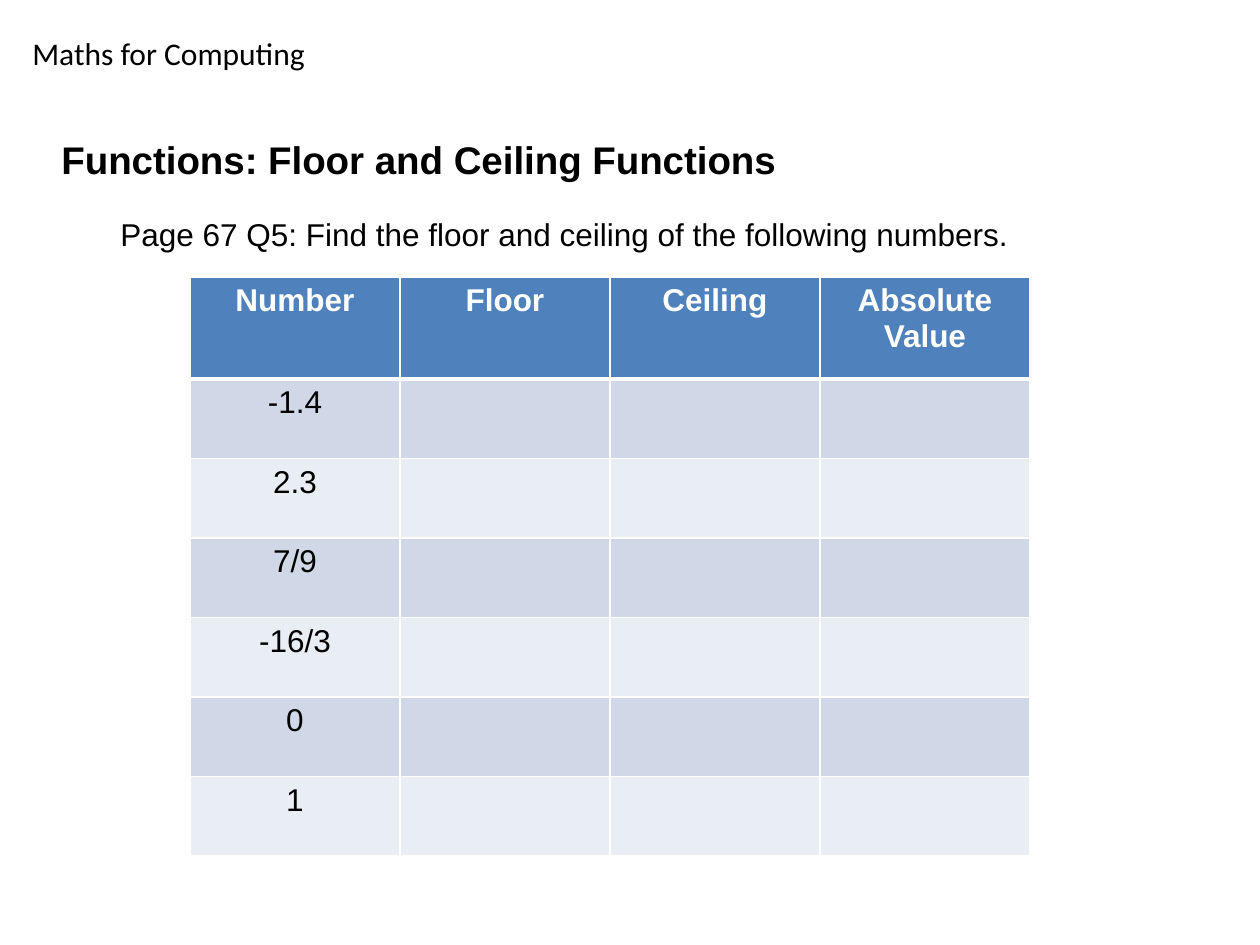
from lxml.etree import SubElement
from pptx import Presentation
from pptx.dml.color import RGBColor
from pptx.enum.text import PP_ALIGN
from pptx.oxml.ns import qn
from pptx.util import Pt

HUE = {"ink": "000000", "white": "FFFFFF", "head": "4F81BD",
       "odd": "D0D8E8", "even": "E9EDF4"}
HEADS = ["Number", "Floor", "Ceiling", "Absolute Value"]
NUMS = ["-1.4", "2.3", "7/9", "-16/3", "0", "1"]


def px(size):
    return round(size * 914400 / 126)


def rgb(name):
    return RGBColor.from_string(HUE[name])


def style(para, size, hue="ink", bold=False, face="Arial"):
    font = para.font
    font.name, font.size, font.bold = face, Pt(size), bold
    font.color.rgb = rgb(hue)


def label(slide, box, text, size, bold=False, face="Arial"):
    frame = slide.shapes.add_textbox(*map(px, box)).text_frame
    frame.word_wrap = True
    para = frame.paragraphs[0]
    para.text = text
    style(para, size, bold=bold, face=face)
    return para


def header(slide, box):
    label(slide, box, "Maths for Computing", 18, face="Calibri")


def title(slide, box):
    label(slide, box, "Functions: Floor and Ceiling Functions", 22, bold=True)


def task(slide, box):
    text = "Page 67 Q5: Find the floor and ceiling of the following numbers."
    para = label(slide, box, text, 18)
    para.space_before = Pt(4)
    para._p.get_or_add_pPr().set("marL", str(px(59)))


def border(cell, side, width):
    props = cell._tc.get_or_add_tcPr()
    line = SubElement(props, qn("a:ln" + side), w=str(Pt(width)))
    fill = SubElement(line, qn("a:solidFill"))
    SubElement(fill, qn("a:srgbClr"), val=HUE["white"])


def grid(slide, box, top):
    rows = [HEADS] + [[num, "", "", ""] for num in NUMS]
    table = slide.shapes.add_table(len(rows), len(HEADS), *map(px, box)).table
    for col in table.columns:
        col.width = px(box[2] / len(HEADS))
    for i, row in enumerate(rows):
        table.rows[i].height = px((box[3] - top) / len(NUMS) if i else top)
        shade = ("odd" if i % 2 else "even") if i else "head"
        for j, text in enumerate(row):
            cell = table.cell(i, j)
            cell.text = text
            para = cell.text_frame.paragraphs[0]
            para.alignment = PP_ALIGN.CENTER
            style(para, 18, "ink" if i else "white", bold=not i)
            for side in "LRTB":
                thick = (i, side) in ((0, "B"), (1, "T"))
                border(cell, side, 3 if thick else 1)
            cell.fill.solid()
            cell.fill.fore_color.rgb = rgb(shade)


def main():
    deck = Presentation()
    deck.slide_width, deck.slide_height = px(1260), px(945)
    slide = deck.slides.add_slide(deck.slide_layouts[6])
    header(slide, (20, 28, 871, 50))
    title(slide, (49, 130, 1023, 54))
    task(slide, (49, 209, 1153, 706))
    grid(slide, (190, 277, 840, 579), 102)
    deck.save("out.pptx")


if __name__ == "__main__":
    main()
